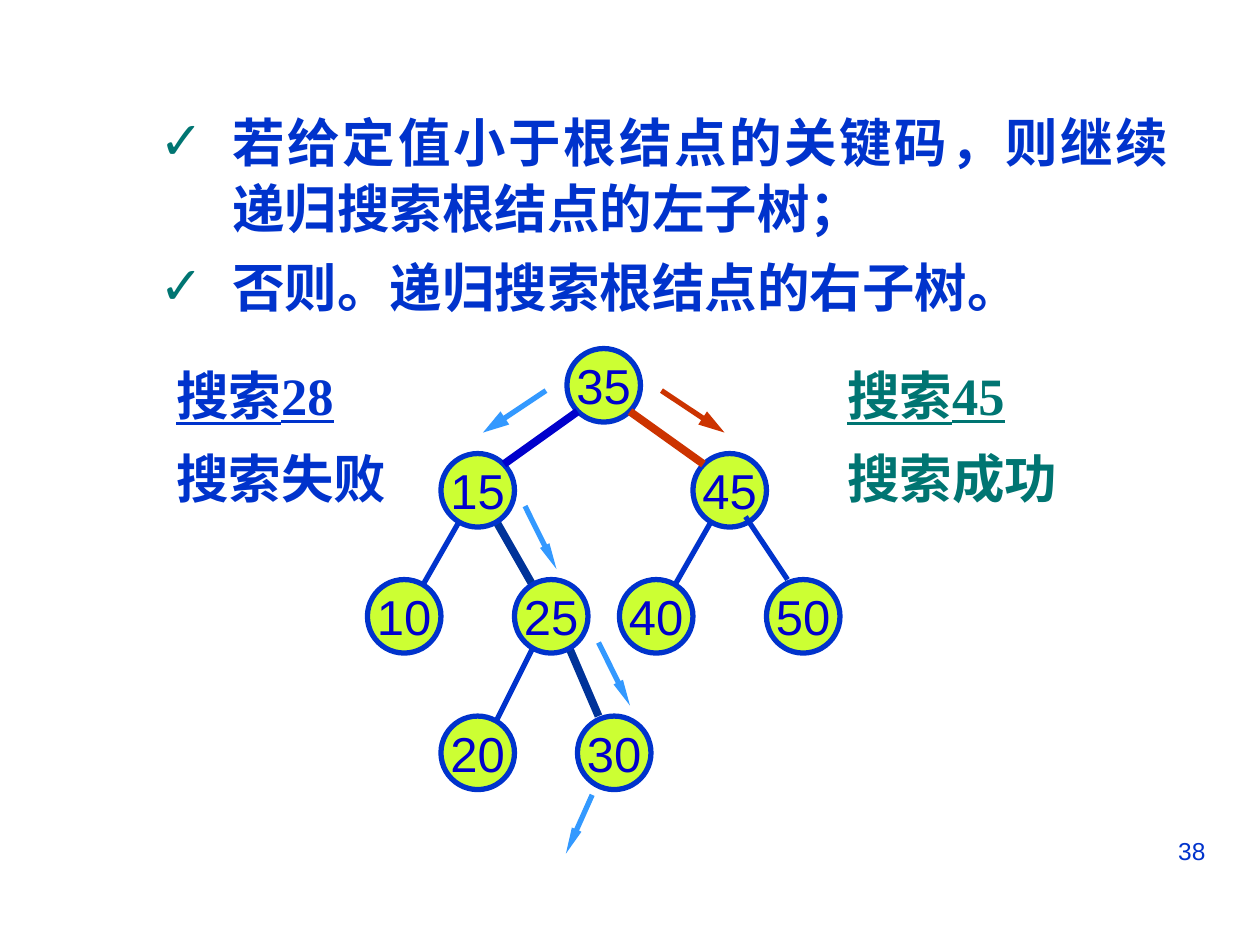
from lxml import etree
from pptx import Presentation
from pptx.dml.color import RGBColor
from pptx.enum.shapes import MSO_CONNECTOR, MSO_SHAPE
from pptx.enum.text import MSO_ANCHOR, PP_ALIGN
from pptx.oxml.ns import qn
from pptx.util import Inches, Pt

LEFT, CENTER, RIGHT, JUSTIFY = (
    PP_ALIGN.LEFT, PP_ALIGN.CENTER, PP_ALIGN.RIGHT, PP_ALIGN.JUSTIFY)
MIDDLE = MSO_ANCHOR.MIDDLE
OVAL = MSO_SHAPE.OVAL
STRAIGHT = MSO_CONNECTOR.STRAIGHT

COLORS = {
    "blue": "0033CC", "teal": "007572", "key": "0000CC", "lime": "CCFF33",
    "navy": "003399", "red": "CC3300", "sky": "3399FF",
}
COLUMNS, ROWS = 120, 90
TREE_TOP = 33.2
NODE_SIZE = 7

# key: (column, row below the top of the tree)
NODES = {
    35: (54, 0), 15: (42, 10), 45: (66, 10), 50: (73, 22), 40: (59, 22),
    25: (49, 22), 10: (35, 22), 20: (42, 35), 30: (55, 35),
}
EDGES_BEHIND = [
    (45, 40, {}),
    (25, 30, {"color": "navy", "width": 4.5, "drop": 0}),
    (25, 20, {}),
    (15, 10, {}),
    (15, 25, {"color": "navy", "width": 4.5}),
]
EDGES_IN_FRONT = [
    (35, 15, {"color": "key", "width": 4.5, "inset": 1}),
    (35, 45, {"color": "red", "width": 4.5, "inset": 1}),
    (45, 50, {"drop": 0}),
]
# start, end, colour, head width
SEARCH_STEPS = [
    ((63, 4), (69, 8), "red", "med"),
    ((52, 4), (46, 8), "sky", "med"),
    ((50, 15), (53, 21), "sky", "sm"),
    ((57, 28), (60, 34), "sky", "sm"),
    ((56.4, 42.5), (53.9, 48.1), "sky", "sm"),
]


def rgb(name):
    return RGBColor.from_string(COLORS[name])


def write(paragraph, text, size=30, color="blue", font="Arial", bold=False,
          underline=False, align=LEFT, before=0):
    paragraph.alignment = align
    paragraph.space_before = Pt(before)
    run = paragraph.add_run()
    run.text = text
    run.font.size = Pt(size)
    run.font.name = font
    run.font.bold = bold
    run.font.underline = underline
    run.font.color.rgb = rgb(color)


def add_check_bullet(paragraph, color):
    properties = paragraph._p.get_or_add_pPr()
    properties.set("marL", str(Inches(1.08)))
    properties.set("indent", str(Inches(-0.58)))
    bullet_color = etree.SubElement(properties, qn("a:buClr"))
    etree.SubElement(bullet_color, qn("a:srgbClr"), val=COLORS[color])
    etree.SubElement(properties, qn("a:buFont"), typeface="Arial")
    etree.SubElement(properties, qn("a:buChar"), char="✓")


class Board:
    """Draws on one slide; lengths are columns and rows of its grid."""

    def __init__(self, presentation):
        self.slide = presentation.slides.add_slide(presentation.slide_layouts[6])
        self.column = presentation.slide_width / COLUMNS
        self.row = presentation.slide_height / ROWS

    def place(self, *lengths):
        units = (self.column, self.row) * 2
        return [round(length * unit) for length, unit in zip(lengths, units)]

    def text(self, left, top, width, height, lines, wrap=True, bullet=None,
             spacing=None, **common):
        """Write lines of (text, format); common holds the shared format."""
        box = self.slide.shapes.add_textbox(*self.place(left, top, width, height))
        frame = box.text_frame
        frame.word_wrap = wrap
        for index, (line, style) in enumerate(lines):
            paragraph = frame.add_paragraph() if index else frame.paragraphs[0]
            if bullet:
                add_check_bullet(paragraph, bullet)
                paragraph.level = 1
            if spacing:
                paragraph.line_spacing = spacing
            write(paragraph, line, **common, **style)

    def node(self, key):
        column, row = NODES[key]
        circle = self.slide.shapes.add_shape(
            OVAL, *self.place(column, TREE_TOP + row, NODE_SIZE, NODE_SIZE))
        circle.shadow.inherit = False
        circle.fill.solid()
        circle.fill.fore_color.rgb = rgb("lime")
        circle.line.color.rgb = rgb("blue")
        circle.line.width = Pt(3)
        frame = circle.text_frame
        frame.word_wrap = False
        frame.vertical_anchor = MIDDLE
        write(frame.paragraphs[0], str(key), size=28, color="key", align=CENTER)

    def line(self, start, end, color="blue", width=3, head=None):
        """Draw a line in tree coordinates; head is the arrowhead's width."""
        connector = self.slide.shapes.add_connector(
            STRAIGHT, *self.place(start[0], TREE_TOP + start[1],
                                  end[0], TREE_TOP + end[1]))
        connector.line.color.rgb = rgb(color)
        connector.line.width = Pt(width)
        if head:
            etree.SubElement(connector.line._get_or_add_ln(), qn("a:tailEnd"),
                             type="triangle", w=head, len="lg")
        etree.SubElement(connector._element.spPr, qn("a:effectLst"))

    def edge(self, parent, child, inset=2, drop=1, **style):
        """Join two nodes, inset from the facing sides of their boxes."""
        (parent_x, parent_y), (child_x, child_y) = NODES[parent], NODES[child]
        near, far = inset, NODE_SIZE - inset
        if child_x > parent_x:
            near, far = far, near
        self.line((parent_x + near, parent_y + NODE_SIZE - 1),
                  (child_x + far, child_y + drop), **style)


def main():
    presentation = Presentation()
    presentation.slide_width, presentation.slide_height = Inches(10), Inches(7.5)
    board = Board(presentation)

    board.text(86, 79, 30, 6.2, [("38", {})], size=14, align=RIGHT)
    board.text(8, 9.6, 104.5, 23.6, [
        ("若给定值小于根结点的关键码，则继续递归搜索根结点的左子树；", {}),
        ("否则。递归搜索根结点的右子树。", {"before": 7}),
    ], bullet="teal", spacing=1.05, bold=True, align=JUSTIFY)

    for left, color, target, outcome in [
        (79.5, "teal", "搜索45", "搜索成功"),
        (15.6, "blue", "搜索28", "搜索失败"),
    ]:
        board.text(left, 34, 22.5, 15.4, [
            (target, {"underline": True}), (outcome, {"before": 11.5}),
        ], wrap=False, color=color, font="Times New Roman", bold=True)

    for parent, child, style in EDGES_BEHIND:
        board.edge(parent, child, **style)
    for key in NODES:
        board.node(key)
    for parent, child, style in EDGES_IN_FRONT:
        board.edge(parent, child, **style)
    for start, end, color, head in SEARCH_STEPS:
        board.line(start, end, color=color, head=head)

    presentation.save("out.pptx")


if __name__ == "__main__":
    main()
